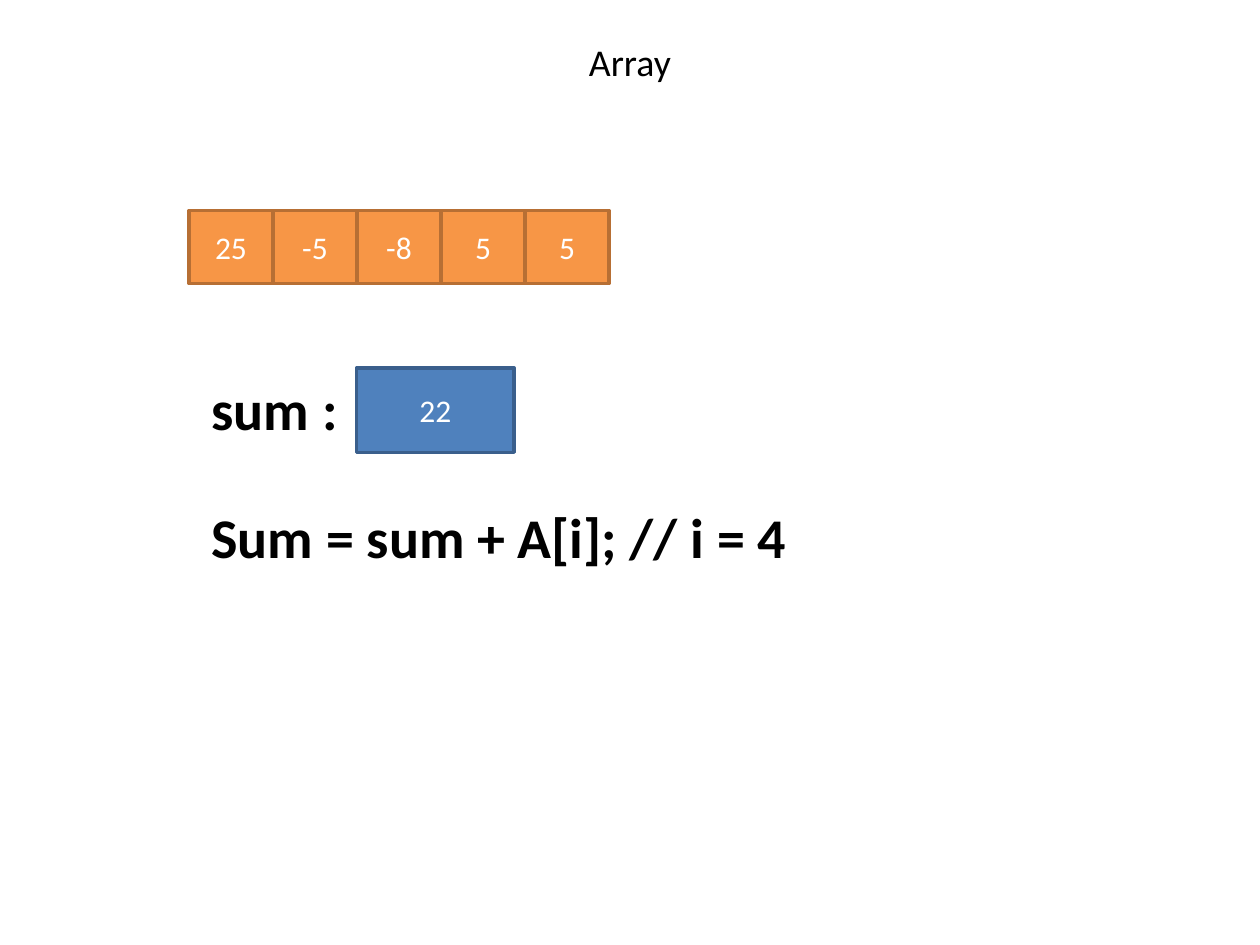
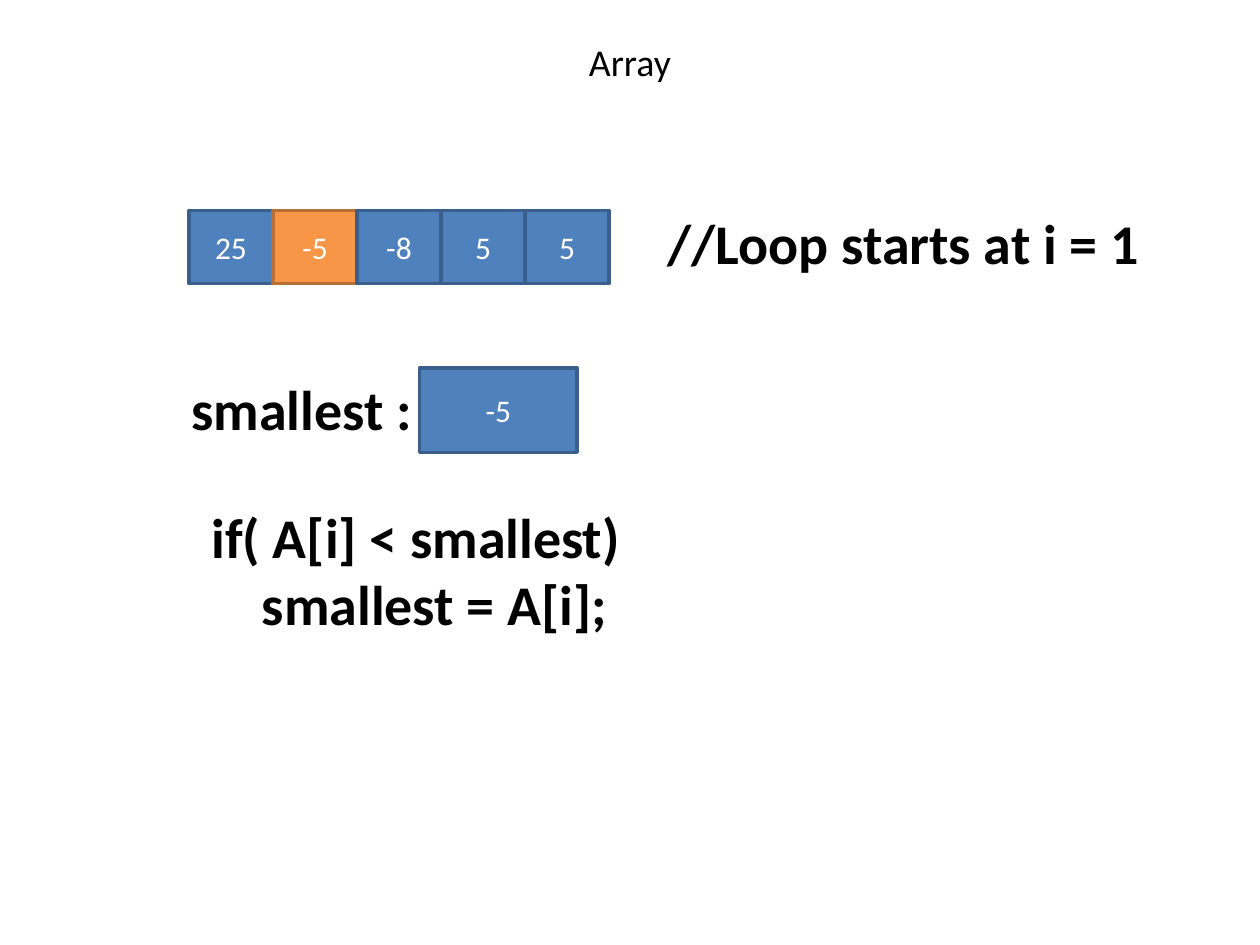
from pptx import Presentation
from pptx.dml.color import RGBColor
from pptx.enum.shapes import MSO_SHAPE as Shape
from pptx.enum.text import MSO_ANCHOR as Anchor, MSO_AUTO_SIZE as AutoSize, PP_ALIGN as Align
from pptx.util import Inches, Pt

FONT = "Calibri"
COLORS = {
    "text": "000000",
    "cell_text": "FFFFFF",
    "plain": "4F81BD",
    "plain_edge": "3A5F8C",
    "visited": "F79646",
    "visited_edge": "B76F34",
}
VALUES = [25, -5, -8, 5, 5]
ROW_BOX = (1.5, 1.67, 10 / 3, 0.58)


def color(name):
    return RGBColor.from_string(COLORS[name])


def write(frame, text, size=32, ink="text", bold=False, align=Align.LEFT,
          anchor=Anchor.TOP, wrap=True, indents=()):
    """Write one paragraph per line; indents gives left margins in inches."""
    frame.word_wrap = wrap
    frame.vertical_anchor = anchor
    for number, line in enumerate(text.split("\n")):
        paragraph = frame.paragraphs[0] if number == 0 else frame.add_paragraph()
        paragraph.alignment = align
        if number < len(indents):
            paragraph._p.get_or_add_pPr().set("marL", str(Inches(indents[number])))
        run = paragraph.add_run()
        run.text = line
        run.font.name = FONT
        run.font.size = Pt(size)
        run.font.bold = bold
        run.font.color.rgb = color(ink)


def add_title(slide, text, box):
    title = slide.shapes.add_textbox(*map(Inches, box))
    write(title.text_frame, text, size=21.6, align=Align.CENTER, anchor=Anchor.MIDDLE)


def add_code(slide, text, box, indents=()):
    code = slide.shapes.add_textbox(*map(Inches, box))
    write(code.text_frame, text, bold=True, wrap=False, indents=indents)
    code.text_frame.auto_size = AutoSize.SHAPE_TO_FIT_TEXT


def add_cell(slide, value, box, style="plain"):
    cell = slide.shapes.add_shape(Shape.RECTANGLE, *map(Inches, box))
    cell.shadow.inherit = False
    cell.fill.solid()
    cell.fill.fore_color.rgb = color(style)
    cell.line.color.rgb = color(style + "_edge")
    cell.line.width = Pt(2)
    write(cell.text_frame, str(value), size=18, ink="cell_text",
          align=Align.CENTER, anchor=Anchor.MIDDLE)


def add_array(slide, values, visited, box):
    left, top, width, height = box
    step = width / len(values)
    for index, value in enumerate(values):
        style = "visited" if index in visited else "plain"
        add_cell(slide, value, (left + index * step, top, step, height), style)


def add_variable(slide, label, value, box, label_width, cell_left):
    """Place a label at the left of the box and its value cell cell_left inches in."""
    left, top, width, height = box
    add_cell(slide, value, (left + cell_left, top, width - cell_left, height))
    add_code(slide, label, (left, top, label_width, 0.64))


def start_slide(deck, visited):
    slide = deck.slides.add_slide(deck.slide_layouts[6])
    add_title(slide, "Array", (0.5, 0.3, 9, 0.37))
    add_array(slide, VALUES, visited, ROW_BOX)
    return slide


def build_sum_slide(deck):
    slide = start_slide(deck, visited=range(len(VALUES)))
    add_variable(slide, "sum :", sum(VALUES), (1.58, 2.92, 2.5, 0.67),
                 label_width=1.21, cell_left=1.25)
    add_code(slide, "Sum = sum + A[i]; // i = 4", (1.58, 3.94, 4.82, 0.64))


def build_smallest_slide(deck):
    slide = start_slide(deck, visited=[1])
    add_variable(slide, "smallest :", -5, (1.42, 2.92, 3.16, 0.67),
                 label_width=1.97, cell_left=1.91)
    add_code(slide, "if( A[i] < smallest)\nsmallest = A[i];",
             (1.58, 3.94, 3.48, 1.18), indents=(0, 0.4))
    add_code(slide, "//Loop starts at i = 1", (5.2, 1.61, 3.99, 0.64))


def main():
    deck = Presentation()
    deck.slide_width, deck.slide_height = Inches(10), Inches(7.5)
    build_sum_slide(deck)
    build_smallest_slide(deck)
    deck.save("out.pptx")


if __name__ == "__main__":
    main()
